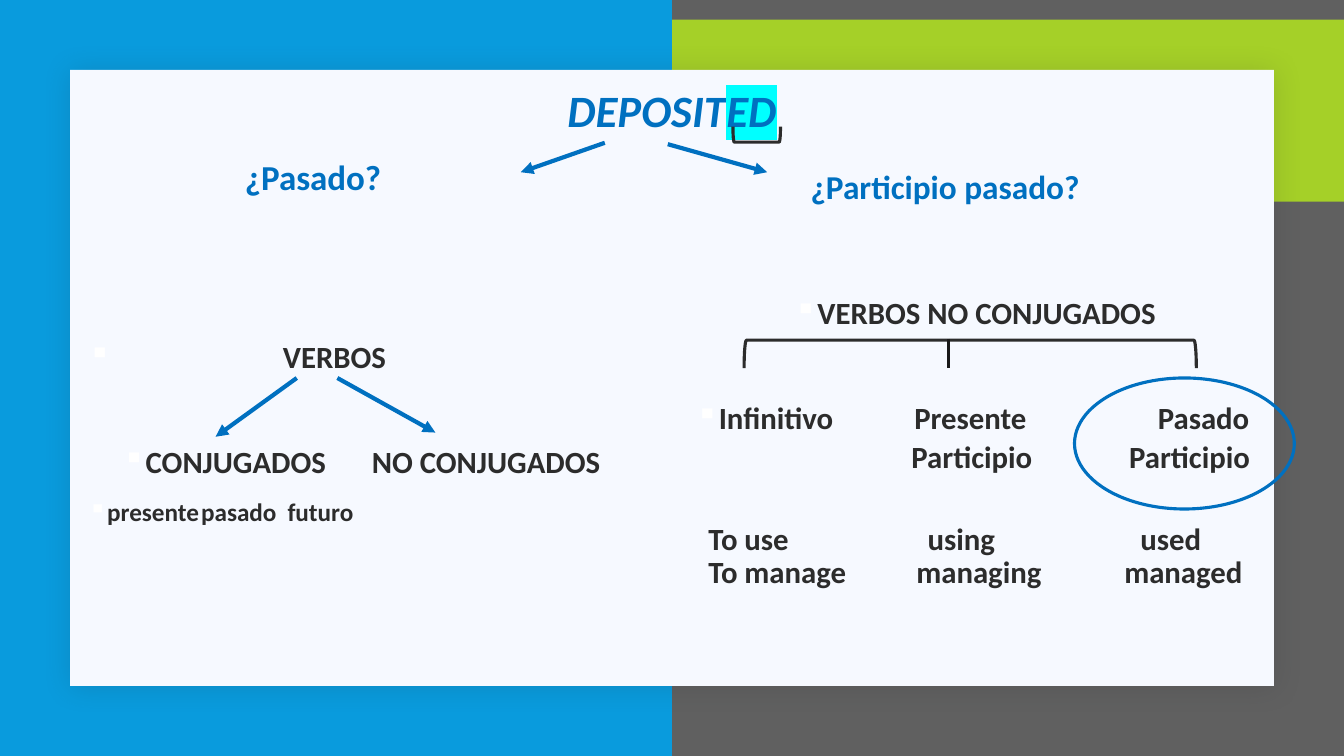
from collections import namedtuple

from lxml.etree import SubElement
from pptx import Presentation
from pptx.dml.color import RGBColor
from pptx.enum.shapes import MSO_CONNECTOR, MSO_SHAPE
from pptx.enum.text import MSO_ANCHOR, PP_ALIGN
from pptx.oxml.ns import qn
from pptx.util import Pt

Box = namedtuple("Box", "left top width height")
BLUE, INK, WHITE = "0070C0", "2C2C2C", "FFFFFF"
BODY = dict(name="Calibri", size=Pt(22), bold=True)


def color(hex_text):
    return RGBColor.from_string(hex_text)


def points(values):
    return [Pt(value) for value in values]


def add_xml(parent, tag, **values):
    return SubElement(parent, qn(tag), {key: str(value) for key, value in values.items()})


def set_values(target, values):
    for key, value in values.items():
        setattr(target, key, value)


def add_span(para, text, hex_text, **values):
    span = para.add_run()
    span.text = text
    set_values(span.font, BODY | values)
    span.font.color.rgb = color(hex_text)
    return span


def add_outline(page, kind, box, fill=None, line=None, rotation=0):
    shape = page.shapes.add_shape(kind, *points(box))
    shape.shadow.inherit = False
    shape.rotation = rotation
    if fill:
        shape.fill.solid()
        shape.fill.fore_color.rgb = color(fill)
    else:
        shape.fill.background()
    if line:
        shape.line.color.rgb = color(line)
        shape.line.width = Pt(2.25)
    else:
        shape.line.fill.background()
    return shape


def add_line(page, start, end, hex_text=BLUE, width=3, arrow=True):
    line = page.shapes.add_connector(MSO_CONNECTOR.STRAIGHT, *points(start + end))
    line.line.color.rgb = color(hex_text)
    line.line.width = Pt(width)
    if arrow:
        add_xml(line.line._get_or_add_ln(), "a:tailEnd", type="triangle")
    add_xml(line.element.spPr, "a:effectLst")


def add_frame(page, box, **margins):
    frame = page.shapes.add_textbox(*points(box)).text_frame
    set_values(frame, dict(word_wrap=True, vertical_anchor=MSO_ANCHOR.TOP))
    set_values(frame, {f"margin_{side}": Pt(value) for side, value in margins.items()})
    return frame


def add_rows(frame, rows):
    """Each row: text, space before, left indent, bullet flag, tab stops, extra formats."""
    for index, (text, before, indent, bullet, stops, formats) in enumerate(rows):
        para = frame.paragraphs[0] if index == 0 else frame.add_paragraph()
        set_values(para, dict(line_spacing=0.9, space_before=Pt(before), space_after=Pt(0)))
        set_values(para, formats)
        properties = para._p.get_or_add_pPr()
        if bullet:
            properties.set("marL", str(Pt(indent)))
            properties.set("indent", str(-Pt(min(indent, 14.4))))
            bullet_color = add_xml(properties, "a:buClr")
            add_xml(bullet_color, "a:srgbClr", val=WHITE)
            add_xml(properties, "a:buChar", char="▪")
        tabs = add_xml(properties, "a:tabLst")
        for stop in stops:
            add_xml(tabs, "a:tab", pos=Pt(stop), algn="l")
        add_span(para, text, INK, size=Pt(18 if "futuro" in text else 22))


def draw_backdrop(page, box):
    page.background.fill.solid()
    page.background.fill.fore_color.rgb = color("606060")
    add_outline(page, MSO_SHAPE.RECTANGLE, Box(box.left, box.top + 14, box.width, 130), "A5D028")
    add_outline(page, MSO_SHAPE.RECTANGLE, box._replace(width=box.width / 2), "099BDD")
    panel = add_outline(page, MSO_SHAPE.RECTANGLE,
                        Box(box.left + 50, box.top + 50, box.width - 100, 440), "F6F9FF")
    effects = panel.element.spPr.find(qn("a:effectLst"))
    shadow = add_xml(effects, "a:outerShdw", blurRad=Pt(20), dist=Pt(2), dir=2700000)
    add_xml(add_xml(shadow, "a:srgbClr", val="1F2125"), "a:alpha", val=15000)


def draw_title(page, box):
    title = page.shapes.title
    set_values(title, dict(zip(Box._fields, points(box))))
    page.shapes.element.append(title.element)  # bring in front of the panel
    title.text_frame.vertical_anchor = MSO_ANCHOR.MIDDLE
    para = title.text_frame.paragraphs[0]
    set_values(para, dict(alignment=PP_ALIGN.CENTER, line_spacing=0.85))
    add_span(para, "DEPOSIT", BLUE, size=Pt(32), italic=True)
    ending = add_span(para, "ED", BLUE, size=Pt(32), italic=True)
    highlight = add_xml(ending.font._element, "a:highlight")
    add_xml(highlight, "a:srgbClr", val="00FFFF")
    ending.font.fill._xPr.find(qn("a:solidFill")).addnext(highlight)
    # Bracket under the ending, arrows to both questions
    left, top = box.left, box.top
    add_outline(page, MSO_SHAPE.RIGHT_BRACKET, Box(left + 440, top + 57, 11, 34), None, INK, 90)
    add_line(page, (left + 337, top + 80), (left + 277, top + 101))
    add_line(page, (left + 382, top + 81), (left + 453, top + 101))


def draw_question(page, box, text, size, drop):
    frame = add_frame(page, box, left=80, top=drop)
    para = frame.paragraphs[0]
    para.line_spacing = 0.7
    add_span(para, text, BLUE, size=Pt(size))


def draw_verbs(page, box):
    frame = add_frame(page, box, top=81)
    add_rows(frame, [
        ("\tVERBOS", 0, 14.4, True, [139], {}),
        ("CONJUGADOS\tNO CONJUGADOS", 51.5, 39, True, [202.6], {}),
        ("presente\tpasado\tfuturo", 14, 7, True, [80.6, 142.3], {}),
    ])
    left, top = box.left, box.top
    add_line(page, (left + 156, top + 107), (left + 98, top + 149))
    add_line(page, (left + 185, top + 107), (left + 255, top + 146))


def draw_forms(page, box):
    frame = add_frame(page, box, top=3)
    add_rows(frame, [
        ("VERBOS NO CONJUGADOS", 0, 14.4, True, [], dict(alignment=PP_ALIGN.CENTER)),
        ("Infinitivo\tPresente\tPasado", 51.5, 14.4, True, [156, 330], {}),
        ("\tParticipio\tParticipio", 4, 0, False, [154, 309.5], {}),
        ("\tTo use\tusing\tused", 35, 0, False, [9, 165.5, 317.5], {}),
        ("\tTo manage\tmanaging\tmanaged", 0, 0, False, [9, 157.5, 306], {}),
    ])
    # Bracket over the three forms, ring around the past participle
    left, top = box.left, box.top
    add_outline(page, MSO_SHAPE.LEFT_BRACKET, Box(left + 193, top - 118, 20, 323), None, INK, 90)
    add_line(page, (left + 187.5, top + 32.5), (left + 187.5, top + 53.5), "191919", 2.25, False)
    add_outline(page, MSO_SHAPE.OVAL, Box(left + 277.5, top + 60.5, 157, 93.6), None, BLUE)


deck = Presentation()
deck.slide_width, deck.slide_height = points((960, 540))
page = deck.slides.add_slide(deck.slide_layouts[5])
draw_backdrop(page, Box(0, 0, 960, 540))
draw_title(page, Box(95, 22, 770, 119))
draw_question(page, Box(95, 114, 374, 58), "¿Pasado?", 25, 5)
draw_question(page, Box(499, 114, 374, 58), "¿Participio pasado?", 23.8, 12.5)
draw_verbs(page, Box(56, 163, 405, 327))
draw_forms(page, Box(490, 209.5, 413, 281))
deck.save("out.pptx")
